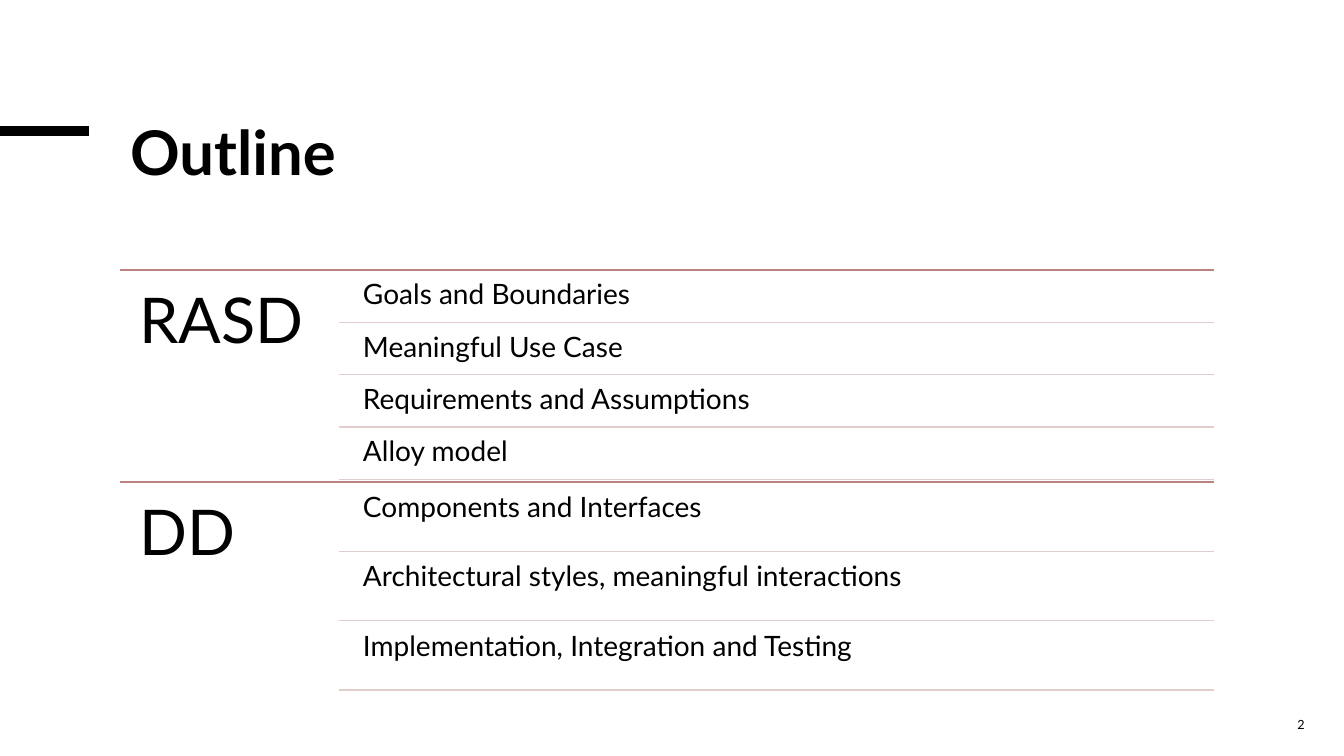
"""Build an outline slide: two ruled sections, each with a heading and its topics."""
import pptx
import pptx.util
import pptx.dml.color
import pptx.enum.shapes
import pptx.enum.text
import pptx.oxml
from dataclasses import dataclass

TITLE = "Outline"
PAGE_NUMBER = "2"
SECTIONS = [
    ("RASD", ["Goals and Boundaries", "Meaningful Use Case",
              "Requirements and Assumptions", "Alloy model"]),
    ("DD", ["Components and Interfaces",
            "Architectural styles, meaningful interactions",
            "Implementation, Integration and Testing"]),
]


@dataclass(frozen=True)
class Theme:
    font: str = "Lato"
    ink: str = "000000"
    section_rule: str = "BA837F"
    topic_rule: str = "E0CDCC"
    title_size: float = 44
    section_size: float = 45
    topic_size: float = 20
    number_size: float = 9
    rule_width: float = 1
    accent_width: float = 6.75


THEME = Theme()
WIDTH, HEIGHT = 13.33, 7.5
LEFT, TOP, LIST_WIDTH = 1.19, 2.68, 10.85
RIGHT = LEFT + LIST_WIDTH
SECTION_HEIGHT = 2.1
TOPIC_RULE_LEFT = LEFT + LIST_WIDTH / 5
TOPIC_LEFT = TOPIC_RULE_LEFT + 0.16
GAP_SHARE = 0.05

Inches, Pt = pptx.util.Inches, pptx.util.Pt
Anchor, Align = pptx.enum.text.MSO_ANCHOR, pptx.enum.text.PP_ALIGN


def write(box, text, size, inset=None, bold=False, anchor=Anchor.TOP,
          align=Align.LEFT, spacing=1.0):
    frame = box.text_frame
    frame.word_wrap = True
    frame.auto_size = pptx.enum.text.MSO_AUTO_SIZE.NONE
    frame.vertical_anchor = anchor
    if inset is not None:
        frame.margin_left = frame.margin_right = Inches(inset)
        frame.margin_top = frame.margin_bottom = Inches(inset)
    para = frame.paragraphs[0]
    para.alignment = align
    para.line_spacing = spacing
    span = para.add_run()
    span.text = text
    span.font.name = THEME.font
    span.font.size = Pt(size)
    span.font.bold = bold
    span.font.color.rgb = pptx.dml.color.RGBColor.from_string(THEME.ink)


def add_text(page, left, top, width, height, text, size, **style):
    box = page.shapes.add_textbox(*map(Inches, (left, top, width, height)))
    write(box, text, size, **style)


def add_rule(page, left, right, y, color, width=THEME.rule_width):
    rule = page.shapes.add_connector(
        pptx.enum.shapes.MSO_CONNECTOR.STRAIGHT, *map(Inches, (left, y, right, y)))
    rule.line.color.rgb = pptx.dml.color.RGBColor.from_string(color)
    rule.line.width = Pt(width)
    properties = rule.line._get_or_add_ln().getparent()
    properties.append(pptx.oxml.parse_xml(
        '<a:effectLst xmlns:a="http://schemas.openxmlformats.org/drawingml/2006/main"/>'))


def add_section(page, top, heading, topics):
    add_rule(page, LEFT, RIGHT, top, THEME.section_rule)
    add_text(page, LEFT, top, TOPIC_RULE_LEFT - LEFT, SECTION_HEIGHT, heading,
             THEME.section_size, inset=0.19, spacing=0.9)
    count = len(topics)
    row_height = SECTION_HEIGHT / (count + (count + 1) * GAP_SHARE)
    gap = row_height * GAP_SHARE
    for index, topic in enumerate(topics):
        row_top = top + gap + index * (row_height + gap)
        add_text(page, TOPIC_LEFT, row_top, RIGHT - TOPIC_LEFT, row_height, topic,
                 THEME.topic_size, inset=0.08, spacing=0.9)
        add_rule(page, TOPIC_RULE_LEFT, RIGHT, row_top + row_height, THEME.topic_rule)


def main():
    deck = pptx.Presentation()
    deck.slide_width, deck.slide_height = Inches(WIDTH), Inches(HEIGHT)
    page = deck.slides.add_slide(deck.slide_layouts.get_by_name("Title Only"))

    add_rule(page, 0, 0.88, 1.3, THEME.ink, THEME.accent_width)
    title = page.shapes.title
    title.left, title.top = Inches(LEFT), Inches(1.19)
    title.width, title.height = Inches(LIST_WIDTH), Inches(1.42)
    write(title, TITLE, THEME.title_size, bold=True, spacing=0.85)

    for index, (heading, topics) in enumerate(SECTIONS):
        add_section(page, TOP + index * SECTION_HEIGHT, heading, topics)

    add_text(page, 12.01, 6.99, 1.03, 0.4, PAGE_NUMBER, THEME.number_size,
             anchor=Anchor.MIDDLE, align=Align.RIGHT)
    deck.save("out.pptx")


if __name__ == "__main__":
    main()
